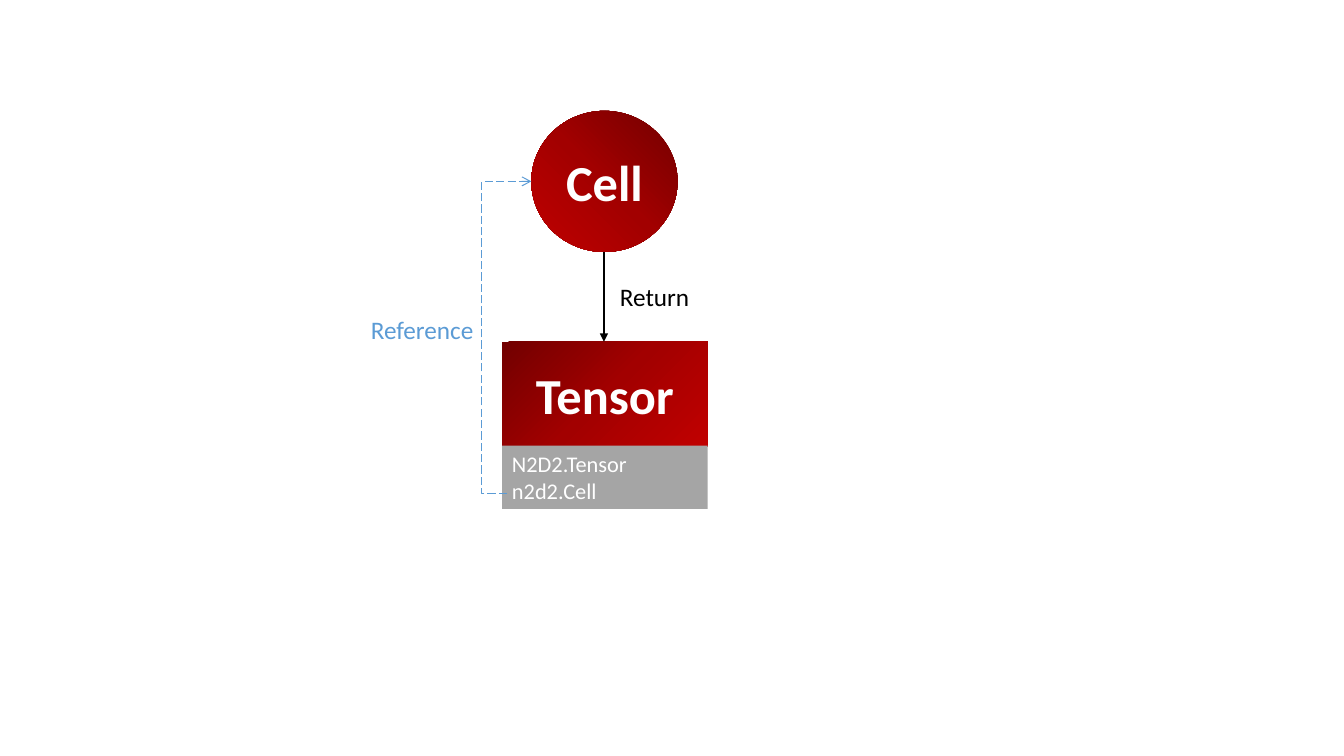
from copy import deepcopy
from dataclasses import dataclass
from typing import Optional

from lxml.etree import SubElement
from pptx import Presentation
from pptx.dml.color import RGBColor
from pptx.enum.dml import MSO_LINE_DASH_STYLE as Dash
from pptx.enum.shapes import MSO_CONNECTOR_TYPE as Conn, MSO_SHAPE as Geom
from pptx.enum.text import MSO_ANCHOR, MSO_AUTO_SIZE, PP_ALIGN
from pptx.oxml.ns import qn
from pptx.util import Inches, Pt

FONT = "Calibri"
WHITE = RGBColor(0xFF, 0xFF, 0xFF)
BLACK = RGBColor(0x00, 0x00, 0x00)
BLUE = RGBColor(0x5B, 0x9B, 0xD5)
GREY = RGBColor(0xA5, 0xA5, 0xA5)
RED_STOPS = [
    (0, RGBColor(0x72, 0x00, 0x00)),
    (0.5, RGBColor(0xA2, 0x00, 0x00)),
    (1, RGBColor(0xC0, 0x00, 0x00)),
]


@dataclass
class Node:
    lines: list[str]
    box: tuple[float, float, float, float]
    geom: Geom = Geom.RECTANGLE
    angle: Optional[int] = None  # counter-clockwise; None means plain grey
    size: int = 36
    bold: bool = True
    align: PP_ALIGN = PP_ALIGN.CENTER


@dataclass
class Label:
    text: str
    box: tuple[float, float, float, float]
    color: RGBColor


@dataclass
class Arrow:
    kind: Conn
    start: tuple[float, float]
    end: tuple[float, float]
    color: RGBColor
    width: float
    head: str
    dash: Optional[Dash] = None
    bend: Optional[int] = None  # bend position, 1/100000 of the width


NODES = [
    Node(["Cell"], (5.27, 1.1, 1.45, 1.4), Geom.OVAL, angle=225),
    Node(["Tensor"], (4.98, 3.39, 2.04, 1.04), angle=315),
    Node(["N2D2.Tensor", "n2d2.Cell"], (4.98, 4.42, 2.04, 0.63),
         size=16, bold=False, align=PP_ALIGN.LEFT),
]
ARROWS = [
    Arrow(Conn.STRAIGHT, (5.99, 2.5), (5.99, 3.39), BLACK, 1, "triangle"),
    Arrow(Conn.ELBOW, (5.03, 4.9), (5.27, 1.8), BLUE, 0.75, "arrow",
          Dash.LONG_DASH, bend=-103800),
]
LABELS = [
    Label("Reference", (3.58, 3.07, 1.23, 0.4), BLUE),
    Label("Return", (6.05, 2.74, 0.9, 0.4), BLACK),
]


def add_run(p, text: str, size: int, color: RGBColor, bold: bool = False) -> None:
    r = p.add_run()
    r.text = text
    r.font.name = FONT
    r.font.size = Pt(size)
    r.font.bold = bold
    r.font.color.rgb = color


def fill_red(sp, angle: int) -> None:
    """Fill with the three-stop dark-to-bright red gradient."""
    sp.fill.gradient()
    sp.fill.gradient_angle = angle
    first = next(sp._element.spPr.iter(qn("a:gs")))
    first.addnext(deepcopy(first))
    for stop, (position, color) in zip(sp.fill.gradient_stops, RED_STOPS):
        stop.position = position
        stop.color.rgb = color


def add_node(s, node: Node) -> None:
    sp = s.shapes.add_shape(node.geom, *map(Inches, node.box))
    sp.shadow.inherit = False
    sp.line.fill.background()
    if node.angle is None:
        sp.fill.solid()
        sp.fill.fore_color.rgb = GREY
    else:
        fill_red(sp, node.angle)
    tf = sp.text_frame
    tf.word_wrap = True
    tf.vertical_anchor = MSO_ANCHOR.MIDDLE
    for i, line in enumerate(node.lines):
        p = tf.add_paragraph() if i else tf.paragraphs[0]
        p.alignment = node.align
        add_run(p, line, node.size, WHITE, node.bold)


def add_arrow(s, arrow: Arrow) -> None:
    cx = s.shapes.add_connector(
        arrow.kind, *map(Inches, arrow.start + arrow.end))
    cx.line.color.rgb = arrow.color
    cx.line.width = Pt(arrow.width)
    if arrow.dash is not None:
        cx.line.dash_style = arrow.dash
    spPr = cx._element.spPr
    SubElement(spPr.find(qn("a:ln")), qn("a:tailEnd"), type=arrow.head)
    SubElement(spPr, qn("a:effectLst"))
    if arrow.bend is not None:
        guides = next(spPr.iter(qn("a:avLst")))
        SubElement(guides, qn("a:gd"), name="adj1", fmla=f"val {arrow.bend}")


def add_label(s, label: Label) -> None:
    tf = s.shapes.add_textbox(*map(Inches, label.box)).text_frame
    tf.word_wrap = False
    tf.auto_size = MSO_AUTO_SIZE.SHAPE_TO_FIT_TEXT
    add_run(tf.paragraphs[0], label.text, 18, label.color)


def main() -> None:
    prs = Presentation()
    prs.slide_width, prs.slide_height = Inches(13.33), Inches(7.5)
    s = prs.slides.add_slide(prs.slide_layouts[6])
    for node in NODES:
        add_node(s, node)
    for arrow in ARROWS:
        add_arrow(s, arrow)
    for label in LABELS:
        add_label(s, label)
    prs.save("out.pptx")


if __name__ == "__main__":
    main()
